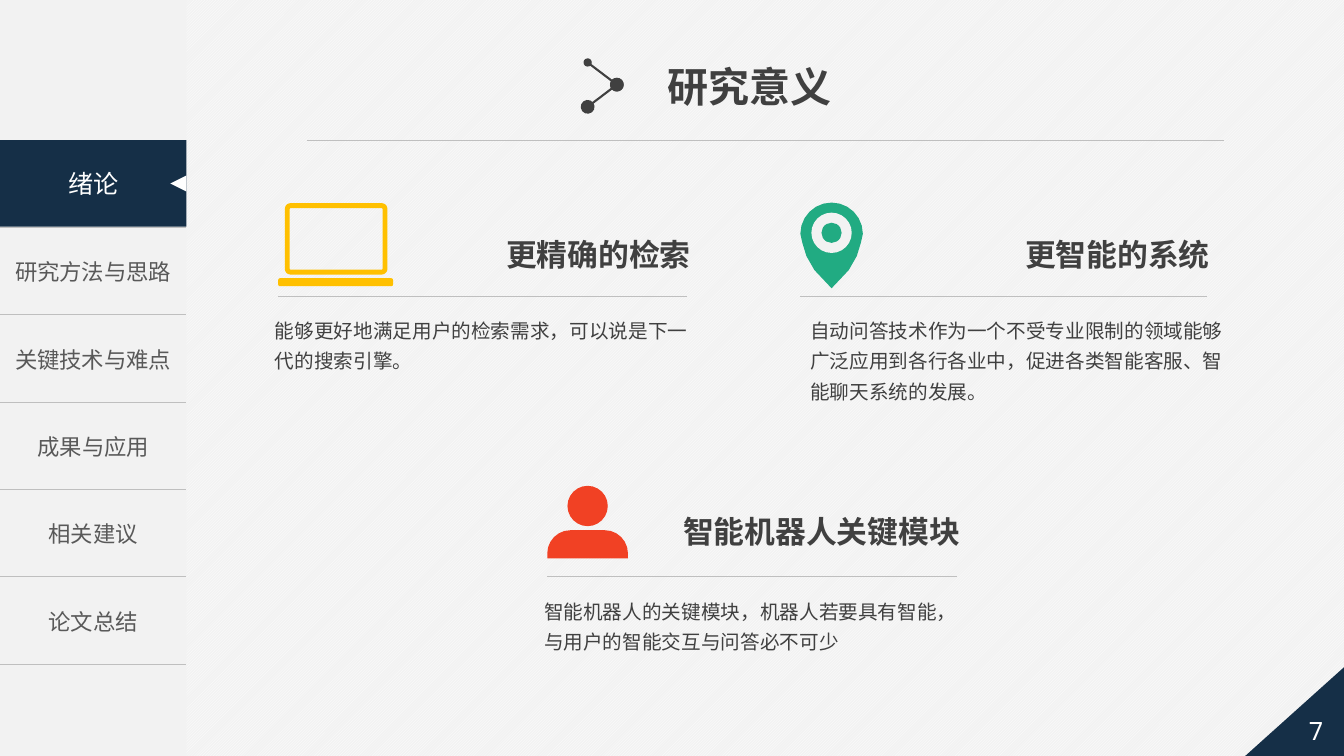
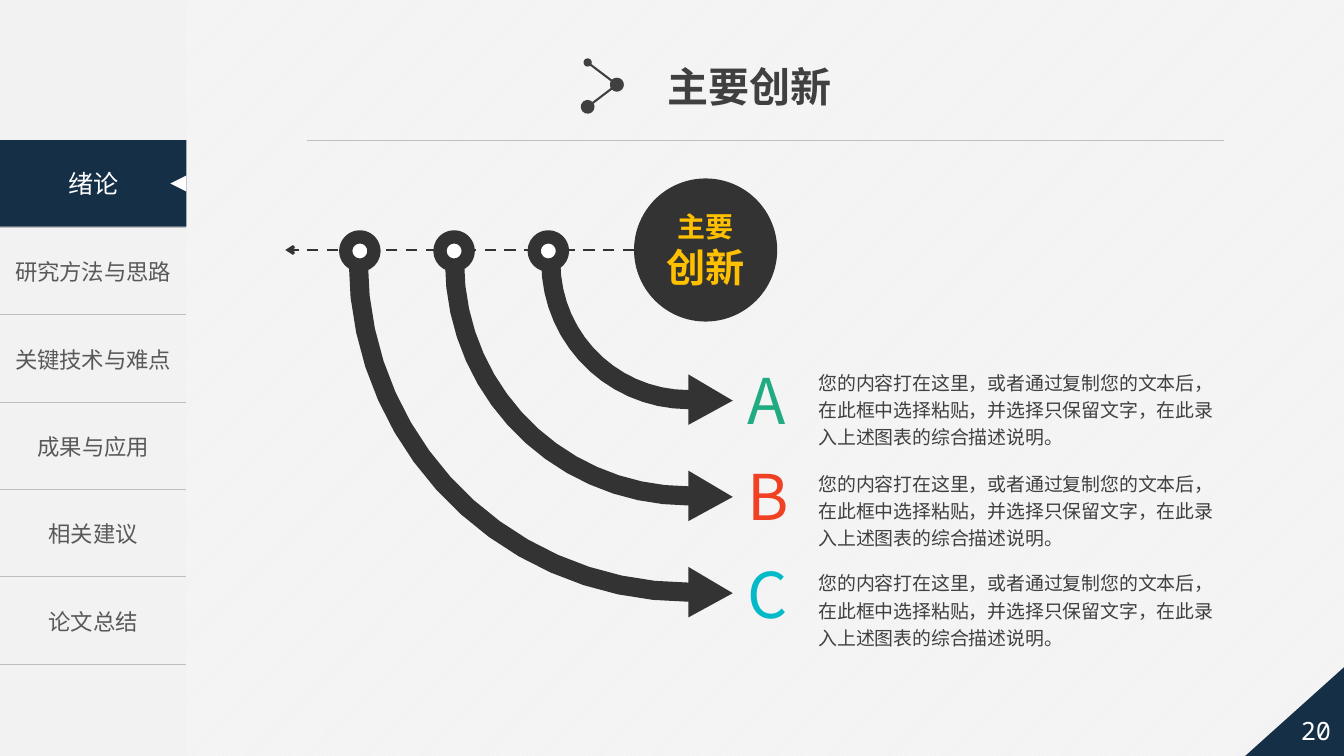
from dataclasses import dataclass
from math import cos, radians, sin

from lxml import etree
from pptx import Presentation
from pptx.dml.color import RGBColor
from pptx.enum.dml import MSO_LINE, MSO_PATTERN
from pptx.enum.shapes import MSO_CONNECTOR, MSO_SHAPE
from pptx.enum.text import MSO_ANCHOR, MSO_AUTO_SIZE, PP_ALIGN
from pptx.oxml.ns import qn
from pptx.util import Inches, Pt

NAVY = RGBColor(0x15, 0x2F, 0x47)
PAPER = RGBColor(0xF2, 0xF2, 0xF2)
WHITE = RGBColor(0xFF, 0xFF, 0xFF)
RULE = RGBColor(0xBF, 0xBF, 0xBF)
MENU = RGBColor(0x59, 0x59, 0x59)
INK = RGBColor(0x40, 0x40, 0x40)
CHARCOAL = RGBColor(0x33, 0x33, 0x33)
GOLD = RGBColor(0xFF, 0xC0, 0x00)
RED = RGBColor(0xF1, 0x41, 0x24)
GREEN = RGBColor(0x21, 0xAB, 0x82)
CYAN = RGBColor(0x05, 0xBA, 0xC8)
CJK, LATIN, MONO = "Noto Sans CJK SC", "Arial", "Noto Sans Mono"
LEFT, CENTER, RIGHT = PP_ALIGN.LEFT, PP_ALIGN.CENTER, PP_ALIGN.RIGHT
TOP, MIDDLE = MSO_ANCHOR.TOP, MSO_ANCHOR.MIDDLE
RECT, OVAL = MSO_SHAPE.RECTANGLE, MSO_SHAPE.OVAL
ROUND_RECT = MSO_SHAPE.ROUNDED_RECTANGLE
TRIANGLE, RIGHT_TRIANGLE = MSO_SHAPE.ISOSCELES_TRIANGLE, MSO_SHAPE.RIGHT_TRIANGLE
STRAIGHT, DASH = MSO_CONNECTOR.STRAIGHT, MSO_LINE.DASH
UP_DIAGONAL, NO_AUTOFIT = MSO_PATTERN.LIGHT_UPWARD_DIAGONAL, MSO_AUTO_SIZE.NONE

SLIDE_W, SLIDE_H = 40 / 3, 7.5
SIDEBAR_W, MENU_TOP, MENU_ROW = 1.85, 1.39, 5.2 / 6
MENU_ITEMS = ["", "研究方法与思路", "关键技术与难点", "成果与应用", "相关建议", "论文总结"]
SECTION = "绪论"
HINT = "您的内容打在这里，或者通过复制您的文本后，在此框中选择粘贴，并选择只保留文字，在此录入上述图表的综合描述说明。"


@dataclass
class Style:
    size: float
    color: RGBColor
    bold: bool = False
    font: str = CJK
    align: int = LEFT
    spacing: float = 1.0


@dataclass
class Topic:
    heading: str
    body: str
    left: float
    right: float
    rule_y: float
    heading_y: float
    body_x: float
    body_y: float


@dataclass
class Point:
    letter: str
    color: RGBColor
    letter_y: float
    body_y: float


TITLE = Style(29.3, INK, True, LATIN)
HEADING = Style(22, INK, True, align=RIGHT)
BODY = Style(14, INK, spacing=1.3)
HINT_BODY = Style(13.5, INK, spacing=1.2)
MENU_ITEM = Style(16, MENU, align=CENTER)
MENU_ACTIVE = Style(18, WHITE, align=CENTER)
PAGE = Style(18, WHITE, font=MONO, align=CENTER)

TOPICS = [
    Topic("更精确的检索", "能够更好地满足用户的检索需求，可以说是下一代的搜索引擎。",
          2.76, 6.82, 2.94, 2.29, 2.63, 3.04),
    Topic("更智能的系统", "自动问答技术作为一个不受专业限制的领域能够广泛应用到各行各业中，促进各类智能客服、智能聊天系统的发展。",
          7.94, 11.97, 2.94, 2.29, 7.94, 3.04),
    Topic("智能机器人关键模块", "智能机器人的关键模块，机器人若要具有智能，与用户的智能交互与问答必不可少",
          5.43, 9.49, 5.72, 5.03, 5.3, 5.83),
]
POINTS = [Point("A", GREEN, 3.54, 3.6), Point("B", RED, 4.49, 4.6), Point("C", CYAN, 5.47, 5.59)]


def style_paragraph(p, st: Style) -> None:
    """Format a paragraph and its runs."""
    p.alignment, p.line_spacing = st.align, st.spacing
    for r in p.runs:
        r.font.size, r.font.bold, r.font.name = Pt(st.size), st.bold, st.font
        r.font.color.rgb = st.color
        latin = r._r.get_or_add_rPr().find(qn("a:latin"))
        ea = etree.Element(qn("a:ea"))
        ea.set("typeface", CJK if st.font == LATIN else st.font)
        latin.addnext(ea)


def write(tf, text: str, st: Style, anchor=TOP, wrap: bool = True, inset=(0.1, 0.05)) -> None:
    """Put one styled paragraph in a text frame."""
    tf.word_wrap, tf.auto_size, tf.vertical_anchor = wrap, NO_AUTOFIT, anchor
    tf.margin_left = tf.margin_right = Inches(inset[0])
    tf.margin_top = tf.margin_bottom = Inches(inset[1])
    p = tf.paragraphs[0]
    p.text = text
    style_paragraph(p, st)


def add_text(s, x: float, y: float, w: float, h: float, text: str, st: Style, **options) -> None:
    """Add a text box."""
    sp = s.shapes.add_textbox(Inches(x), Inches(y), Inches(w), Inches(h))
    write(sp.text_frame, text, st, **options)


def paint(sp, color: RGBColor):
    """Give a shape a plain fill without outline or shadow."""
    sp.shadow.inherit = False
    sp.fill.solid()
    sp.fill.fore_color.rgb = color
    sp.line.fill.background()
    return sp


def add_shape(s, kind, x: float, y: float, w: float, h: float, color: RGBColor):
    """Add a plain preset shape."""
    return paint(s.shapes.add_shape(kind, Inches(x), Inches(y), Inches(w), Inches(h)), color)


def add_outline(s, contour: list, color: RGBColor) -> None:
    """Add a filled freeform from its corner points."""
    start, *rest = [(Inches(x), Inches(y)) for x, y in contour]
    builder = s.shapes.build_freeform(*start)
    builder.add_line_segments(rest, close=True)
    paint(builder.convert_to_shape(), color)


def arc(cx: float, cy: float, r: float, start: int, end: int, step: int) -> list:
    """Sample an arc, with angles in degrees clockwise from the right."""
    step = step if end > start else -step
    angles = [radians(a) for a in range(start, end + step, step)]
    return [(cx + r * cos(a), cy + r * sin(a)) for a in angles]


def add_line(s, x1: float, y1: float, x2: float, y2: float, color: RGBColor = RULE,
             width: float = 0.5, dash=None, head=None, tail=None) -> None:
    """Add a straight line with optional (type, size) ends."""
    line = s.shapes.add_connector(STRAIGHT, Inches(x1), Inches(y1), Inches(x2), Inches(y2))
    line.line.color.rgb, line.line.width = color, Pt(width)
    if dash:
        line.line.dash_style = dash
    sp_pr = line._element.spPr
    for tag, end in (("a:headEnd", head), ("a:tailEnd", tail)):
        if end:
            kind, size = end
            etree.SubElement(sp_pr.find(qn("a:ln")), qn(tag), type=kind, w=size, len=size)
    etree.SubElement(sp_pr, qn("a:effectLst"))


def set_borders(cell) -> None:
    """Rule a cell above and below only."""
    tc_pr = cell._tc.get_or_add_tcPr()
    for side in "LRTB":
        ln = etree.SubElement(tc_pr, qn(f"a:ln{side}"), w=str(Pt(1)))
        if side in "LR":
            etree.SubElement(ln, qn("a:noFill"))
        else:
            fill = etree.SubElement(ln, qn("a:solidFill"))
            etree.SubElement(fill, qn("a:srgbClr"), val=str(RULE))


def add_menu(s) -> None:
    """Draw the sidebar with its active section."""
    add_shape(s, RECT, 0, 0, SIDEBAR_W, SLIDE_H, PAPER)
    table = s.shapes.add_table(len(MENU_ITEMS), 1, 0, Inches(MENU_TOP), Inches(SIDEBAR_W),
                               Inches(MENU_ROW * len(MENU_ITEMS))).table
    table.first_row = table.horz_banding = False
    for i, item in enumerate(MENU_ITEMS):
        cell = table.cell(i, 0)
        set_borders(cell)
        cell.fill.background()
        cell.vertical_anchor = MIDDLE
        cell.text_frame.text = item
        style_paragraph(cell.text_frame.paragraphs[0], MENU_ITEM)
    active = add_shape(s, RECT, 0, MENU_TOP, SIDEBAR_W, 0.86, NAVY)
    write(active.text_frame, SECTION, MENU_ACTIVE, anchor=MIDDLE)
    add_shape(s, TRIANGLE, 1.69, 1.74, 0.16, 0.16, WHITE).rotation = 270


def add_slide(prs, title: str, page: int):
    """Add a slide with the shared frame, title and page number."""
    s = prs.slides.add_slide(prs.slide_layouts[5])
    fill = s.background.fill
    fill.patterned()
    fill.pattern = UP_DIAGONAL
    fill.fore_color.rgb, fill.back_color.rgb = WHITE, PAPER
    add_menu(s)
    add_line(s, 3.05, 1.39, 12.14, 1.39)
    corner = add_shape(s, RIGHT_TRIANGLE, SLIDE_W - 0.98, SLIDE_H - 0.88, 0.98, 0.88, NAVY)
    corner._element.spPr.xfrm.set("flipH", "1")
    add_text(s, 12.78, 6.97, 0.55, 0.55, str(page), PAGE, anchor=MIDDLE, wrap=False, inset=(0, 0))
    sp = s.shapes.title
    sp.left, sp.top, sp.width, sp.height = Inches(6.52), Inches(0.56), Inches(1.85), Inches(0.59)
    write(sp.text_frame, title, TITLE, wrap=False)
    small, large = ("oval", "med"), ("oval", "lg")
    add_line(s, 5.83, 0.62, 6.12, 0.84, INK, 1.5, head=small, tail=large)
    add_line(s, 6.12, 0.84, 5.83, 1.06, INK, 1.5, head=large, tail=large)
    return s


def add_laptop(s) -> None:
    """Draw the laptop icon."""
    screen = add_shape(s, ROUND_RECT, 2.85, 2.04, 0.97, 0.66, GOLD)
    screen.adjustments[0] = 0.05
    screen.fill.background()
    screen.line.color.rgb, screen.line.width = GOLD, Pt(3.5)
    add_shape(s, ROUND_RECT, 2.76, 2.76, 1.14, 0.08, GOLD).adjustments[0] = 0.25


def add_pin(s) -> None:
    """Draw the map pin icon."""
    cx, cy = 8.25, 2.32
    side = [(0.29, 0.09), (0.25, 0.22), (0.17, 0.36)]
    right = [(cx + dx, cy + dy) for dx, dy in side]
    left = [(cx - dx, cy + dy) for dx, dy in reversed(side)]
    add_outline(s, arc(cx, cy, 0.31, 180, 360, 15) + right + [(cx, 2.86)] + left, GREEN)
    for r, color in ((0.2, PAPER), (0.1, GREEN)):
        add_shape(s, OVAL, cx - r, 2.31 - r, 2 * r, 2 * r, color)


def add_person(s) -> None:
    """Draw the person icon."""
    add_shape(s, OVAL, 5.63, 4.82, 0.4, 0.4, RED)
    shoulders = arc(5.66, 5.49, 0.23, 180, 270, 15) + arc(6, 5.49, 0.23, 270, 360, 15)
    add_outline(s, shoulders + [(6.23, 5.54), (5.43, 5.54)], RED)


def add_topic(s, topic: Topic) -> None:
    """Draw a heading, its rule and its body."""
    add_line(s, topic.left, topic.rule_y, topic.right, topic.rule_y)
    width = 0.2 + 0.31 * len(topic.heading)
    add_text(s, topic.right + 0.13 - width, topic.heading_y, width, 0.47, topic.heading, HEADING,
             anchor=MIDDLE, wrap=False)
    add_text(s, topic.body_x, topic.body_y, 4.44, 1.02, topic.body, BODY)


def add_curved_arrow(s, r: float) -> None:
    """Draw a quarter-circle arrow of the given outer radius."""
    cx, cy, band = 6.83, 2.6, 0.19
    mid = cy + r - band / 2
    head = [(cx, mid - 0.25), (7.27, mid + 0.01), (cx, mid + 0.25)]
    add_outline(s, arc(cx, cy, r, 90, 180, 6) + arc(cx, cy, r - band, 180, 90, 6) + head, CHARCOAL)


def add_hub(s) -> None:
    """Draw the circle that names the diagram."""
    tf = add_shape(s, OVAL, 6.29, 1.77, 1.42, 1.42, CHARCOAL).text_frame
    write(tf, "主要", Style(20, GOLD, True, align=CENTER), anchor=MIDDLE, inset=(0.08, 0.04))
    p = tf.add_paragraph()
    p.text = "创新"
    style_paragraph(p, Style(28, GOLD, True, align=CENTER))


def add_point(s, i: int, point: Point) -> None:
    """Draw a ring, its arrow, its letter and its text."""
    ring = add_shape(s, OVAL, 5.3 - 0.935 * i, 2.35, 0.28, 0.28, WHITE)
    ring.line.color.rgb, ring.line.width = CHARCOAL, Pt(9.5)
    add_curved_arrow(s, 1.46 + 0.955 * i)
    add_text(s, 7.34, point.letter_y, 0.6, 0.84, point.letter, Style(45, point.color),
             anchor=MIDDLE, wrap=False, inset=(0.08, 0.04))
    add_text(s, 8.04, point.body_y, 4.24, 0.88, HINT, HINT_BODY, inset=(0.08, 0.04))


def main() -> None:
    """Build and save the deck."""
    prs = Presentation()
    prs.slide_width, prs.slide_height = Inches(SLIDE_W), Inches(SLIDE_H)

    s = add_slide(prs, "研究意义", 7)
    add_laptop(s)
    add_pin(s)
    add_person(s)
    for topic in TOPICS:
        add_topic(s, topic)

    s = add_slide(prs, "主要创新", 20)
    add_hub(s)
    add_line(s, 6.29, 2.48, 2.83, 2.48, CHARCOAL, 0, dash=DASH, tail=("arrow", "med"))
    for i, point in enumerate(POINTS):
        add_point(s, i, point)

    prs.save("out.pptx")


if __name__ == "__main__":
    main()
